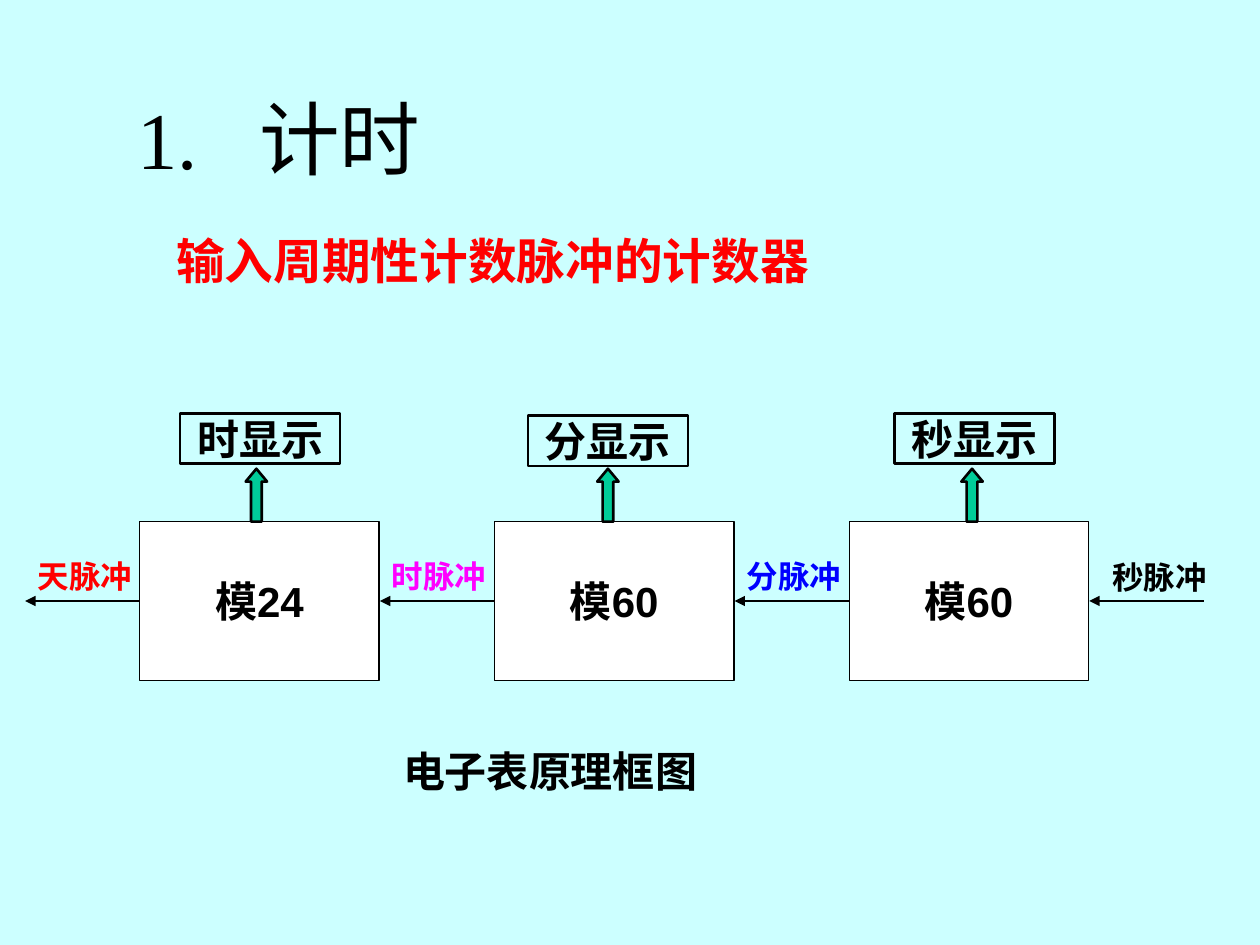
import pptx
import pptx.util
import pptx.dml.color
import pptx.enum.shapes
import pptx.enum.text
import pptx.oxml.ns
import lxml.etree

Inches = pptx.util.Inches
Pt = pptx.util.Pt
RGBColor = pptx.dml.color.RGBColor
MSO_SHAPE = pptx.enum.shapes.MSO_SHAPE
ALIGN = pptx.enum.text.PP_ALIGN
ANCHOR = pptx.enum.text.MSO_ANCHOR
qn = pptx.oxml.ns.qn

BACKGROUND = RGBColor(0xCC, 0xFF, 0xFF)
BLACK = RGBColor(0, 0, 0)
WHITE = RGBColor(0xFF, 0xFF, 0xFF)
RED = RGBColor(0xFF, 0, 0)
MAGENTA = RGBColor(0xFF, 0, 0xFF)
BLUE = RGBColor(0, 0, 0xFF)
GREEN = RGBColor(0, 0xCC, 0x99)

# Content
TITLE = "1.\t计时"
SUBTITLE = "输入周期性计数脉冲的计数器"
CAPTION = "电子表原理框图"
# counter, display, display left, display top, up arrow left
STAGES = [
    ("模24", "时显示", 1.43, 3.28, 1.95),
    ("模60", "分显示", 4.19, 3.30, 4.74),
    ("模60", "秒显示", 7.10, 3.28, 7.63),
]
# label, colour, label left, label top
PULSES = [
    ("天脉冲", RED, 0.20, 4.37),
    ("时脉冲", MAGENTA, 3.01, 4.37),
    ("分脉冲", BLUE, 5.83, 4.37),
    ("秒脉冲", BLACK, 8.73, 4.38),
]

# Layout
COUNTER_LEFT, COUNTER_TOP = 1.11, 4.14
COUNTER_WIDTH, COUNTER_HEIGHT = 1.90, 1.26
PULSE_LENGTH = 0.91
STAGE_PITCH = 2.815
PULSE_LEFT = COUNTER_LEFT - PULSE_LENGTH
PULSE_Y = COUNTER_TOP + COUNTER_HEIGHT / 2


def write_text(shape, text, size=24, color=BLACK, font="Arial", bold=True,
               align=ALIGN.LEFT, anchor=ANCHOR.TOP, wrap=True,
               inset=(0.1, 0.05), tab=None):
    frame = shape.text_frame
    frame.word_wrap = wrap
    frame.vertical_anchor = anchor
    frame.margin_left = frame.margin_right = Inches(inset[0])
    frame.margin_top = frame.margin_bottom = Inches(inset[1])
    paragraph = frame.paragraphs[0]
    paragraph.text = text
    paragraph.alignment = align
    if tab:
        tabs = lxml.etree.SubElement(paragraph._p.get_or_add_pPr(), qn("a:tabLst"))
        lxml.etree.SubElement(tabs, qn("a:tab"), pos=str(Inches(tab)), algn="l")
    run_font = paragraph.runs[0].font
    run_font.name = font
    run_font.size = Pt(size)
    run_font.bold = bold
    run_font.color.rgb = color


def add_text(slide, text, left, top, width, height, **style):
    box = slide.shapes.add_textbox(Inches(left), Inches(top), Inches(width), Inches(height))
    write_text(box, text, **style)


def add_block(slide, kind, left, top, width, height, fill, line_width):
    shape = slide.shapes.add_shape(
        kind, Inches(left), Inches(top), Inches(width), Inches(height))
    shape.shadow.inherit = False
    if fill is None:
        shape.fill.background()
    else:
        shape.fill.solid()
        shape.fill.fore_color.rgb = fill
    shape.line.color.rgb = BLACK
    shape.line.width = Pt(line_width)
    return shape


def add_pulse_arrow(slide, left):
    arrow = slide.shapes.add_connector(
        pptx.enum.shapes.MSO_CONNECTOR.STRAIGHT,
        Inches(left + PULSE_LENGTH), Inches(PULSE_Y), Inches(left), Inches(PULSE_Y))
    arrow.line.color.rgb = BLACK
    arrow.line.width = Pt(0.75)
    lxml.etree.SubElement(arrow.line._get_or_add_ln(), qn("a:tailEnd"), type="triangle")
    lxml.etree.SubElement(arrow._element.spPr, qn("a:effectLst"))


def main():
    presentation = pptx.Presentation()
    presentation.slide_width = Inches(10)
    presentation.slide_height = Inches(7.5)
    slide = presentation.slides.add_slide(presentation.slide_layouts[6])
    slide.background.fill.solid()
    slide.background.fill.fore_color.rgb = BACKGROUND

    # Headings
    add_text(slide, TITLE, 0.51, 0.6, 3.47, 0.98, size=46, font="Times New Roman",
             bold=False, anchor=ANCHOR.MIDDLE, inset=(0.58, 0.05), tab=0.97)
    add_text(slide, SUBTITLE, 1.3, 1.78, 7.62, 0.59, size=27.8,
             font="Times New Roman", color=RED)

    # Counters with their displays
    for index, (counter, display, display_left, display_top, arrow_left) in enumerate(STAGES):
        block = add_block(slide, MSO_SHAPE.RECTANGLE, COUNTER_LEFT + index * STAGE_PITCH,
                          COUNTER_TOP, COUNTER_WIDTH, COUNTER_HEIGHT, WHITE, 0.75)
        write_text(block, counter, align=ALIGN.CENTER, anchor=ANCHOR.MIDDLE, wrap=False)
        screen = add_block(slide, MSO_SHAPE.RECTANGLE, display_left, display_top,
                           1.27, 0.4, None, 1.5)
        write_text(screen, display, align=ALIGN.CENTER, inset=(0, 0))
        arrow = add_block(slide, MSO_SHAPE.UP_ARROW, arrow_left, 3.72, 0.17, 0.42, GREEN, 1.5)
        arrow.adjustments[0] = 0.5
        arrow.adjustments[1] = 0.6

    # Pulses between the counters
    for index, (label, color, left, top) in enumerate(PULSES):
        add_text(slide, label, left, top, 1.08, 0.4, size=18, color=color)
        add_pulse_arrow(slide, PULSE_LEFT + index * STAGE_PITCH)

    # Caption
    add_text(slide, CAPTION, 3.1, 5.87, 2.98, 0.5)

    presentation.save("out.pptx")


if __name__ == "__main__":
    main()
